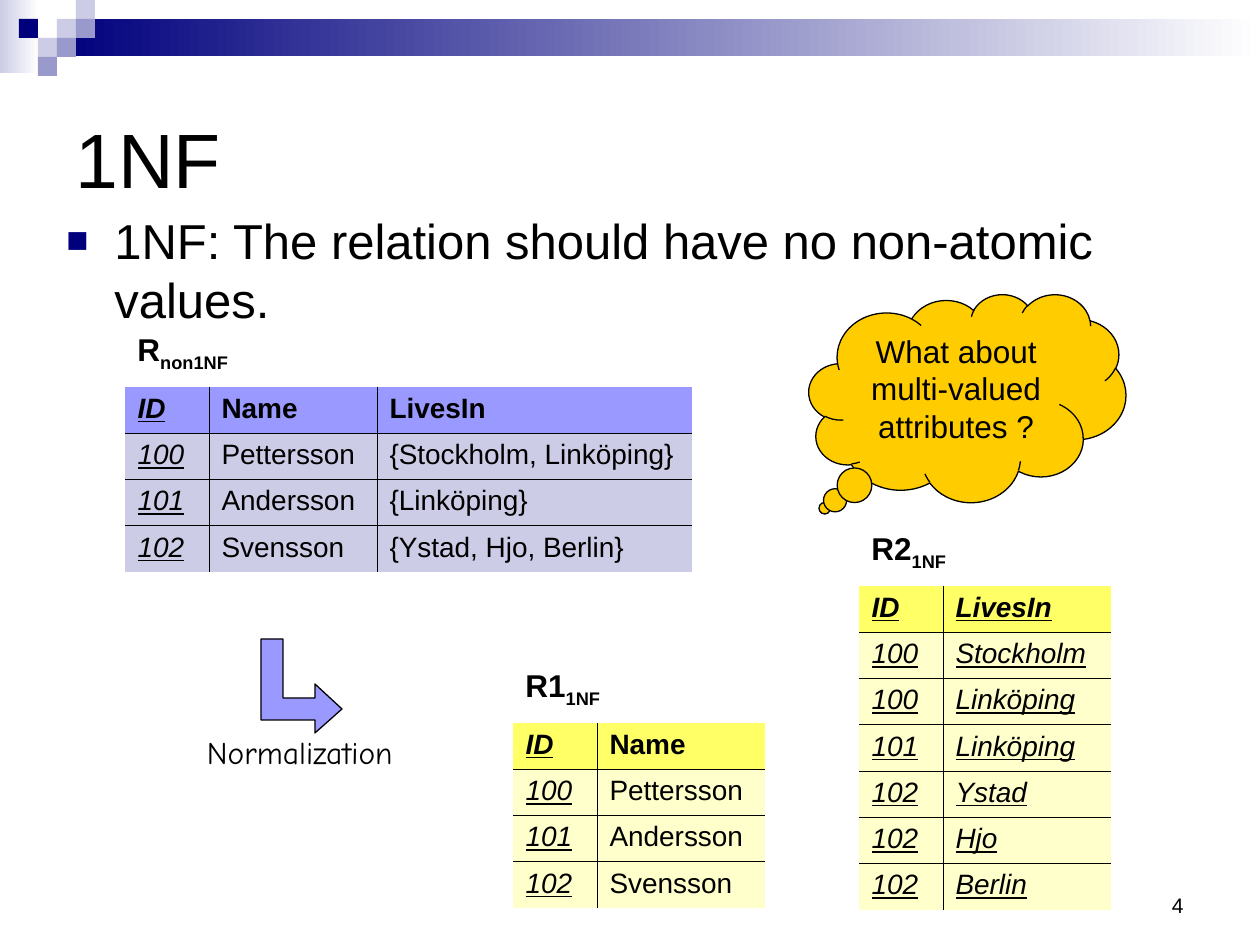
from lxml.etree import SubElement
from pptx import Presentation
from pptx.dml.color import RGBColor
from pptx.enum.shapes import MSO_SHAPE as Shape
from pptx.enum.text import MSO_ANCHOR as Anchor, MSO_AUTO_SIZE as AutoSize, PP_ALIGN as Align
from pptx.oxml.ns import qn
from pptx.util import Pt

SCALE = 914400 / 126  # EMU per px
INSETS = (0.1 * 126, 0.05 * 126)  # left/right, top/bottom in px

COLORS = {
    "black": "000000", "white": "FFFFFF", "navy": "00007D", "lavender": "CCCCE6",
    "slate": "9999CC", "violet": "9999FF", "yellow": "FFFF66", "cream": "FFFFCC",
    "orange": "FFCC00",
}

# Content: header bands and squares (on a grid of 19 px)
GRADIENT_BANDS = [((0, 0, 39, 73), "lavender"), ((57, 19, 1203, 37), "navy")]
SQUARE = 19
SQUARES = [  # column, row, colour
    (3, 1, "lavender"), (4, 0, "lavender"), (4, 1, "slate"), (2, 2, "lavender"),
    (1, 1, "navy"), (3, 2, "slate"), (2, 3, "slate"),
]

# Content: relations, with the number of leading key columns
RELATIONS = [
    {"name": "R", "subscript": "non1NF", "at": (125, 387), "columns": (84, 168, 315),
     "keys": 1, "fills": ("violet", "lavender"),
     "rows": [("ID", "Name", "LivesIn"),
              ("100", "Pettersson", "{Stockholm, Linköping}"),
              ("101", "Andersson", "{Linköping}"),
              ("102", "Svensson", "{Ystad, Hjo, Berlin}")]},
    {"name": "R1", "subscript": "1NF", "at": (513, 723), "columns": (84, 168),
     "keys": 1, "fills": ("yellow", "cream"),
     "rows": [("ID", "Name"), ("100", "Pettersson"),
              ("101", "Andersson"), ("102", "Svensson")]},
    {"name": "R2", "subscript": "1NF", "at": (859, 586), "columns": (84, 168),
     "keys": 2, "fills": ("yellow", "cream"),
     "rows": [("ID", "LivesIn"), ("100", "Stockholm"), ("100", "Linköping"),
              ("101", "Linköping"), ("102", "Ystad"), ("102", "Hjo"), ("102", "Berlin")]},
]
ROW_HEIGHT = 46.25
LABEL_RISE = 63  # from the label's top to its table

ARROW = [(342, 709), (315, 684), (315, 698), (283, 698), (283, 639),
         (261, 639), (261, 720), (315, 720), (315, 733)]


def px(value):
    return round(value * SCALE)


def box(left, top, width, height):
    return px(left), px(top), px(width), px(height)


def rgb(name):
    return RGBColor.from_string(COLORS[name])


def write(frame, text, size=18, font="Arial", bold=False, italic=False, underline=False,
          align=Align.LEFT, space_before=0, subscript=""):
    paragraph = frame.paragraphs[0]
    paragraph.alignment = align
    paragraph.space_before = Pt(space_before)
    for part in filter(None, (text, subscript)):
        run = paragraph.add_run()
        run.text = part
        run.font.size, run.font.name = Pt(size), font
        run.font.bold, run.font.italic, run.font.underline = bold, italic, underline
        run.font.color.rgb = rgb("black")
    if subscript:
        run._r.get_or_add_rPr().set("baseline", "-25000")
    return paragraph


def set_frame(frame, anchor=Anchor.TOP, wrap=True, insets=INSETS):
    frame.word_wrap = wrap
    frame.auto_size = AutoSize.NONE
    frame.vertical_anchor = anchor
    frame.margin_left = frame.margin_right = px(insets[0])
    frame.margin_top = frame.margin_bottom = px(insets[1])
    return frame


def add_text(slide, place, text, anchor=Anchor.TOP, wrap=True, insets=INSETS, **style):
    shape = slide.shapes.add_textbox(*box(*place))
    return write(set_frame(shape.text_frame, anchor, wrap, insets), text, **style)


def paint(shape, fill, outlined=False):
    shape.shadow.inherit = False
    shape.fill.solid()
    shape.fill.fore_color.rgb = rgb(fill)
    if outlined:
        shape.line.color.rgb = rgb("black")
        shape.line.width = Pt(0.75)
    else:
        shape.line.fill.background()


def add_bullet(paragraph):
    properties = paragraph._p.get_or_add_pPr()
    properties.set("marL", str(px(48)))
    properties.set("indent", str(px(-48)))
    color = SubElement(properties, qn("a:buClr"))
    SubElement(color, qn("a:srgbClr"), val=COLORS["navy"])
    SubElement(properties, qn("a:buSzPct"), val="75000")
    SubElement(properties, qn("a:buFont"), typeface="Arial")
    SubElement(properties, qn("a:buChar"), char="■")


def set_borders(cell, sides):
    """Draw a thin line on each side marked True and none on the others."""
    properties = cell._tc.get_or_add_tcPr()
    for index, (tag, visible) in enumerate(sides.items()):
        line = SubElement(properties, qn(f"a:{tag}"), w=str(Pt(0.45)))
        if visible:
            fill = SubElement(line, qn("a:solidFill"))
            SubElement(fill, qn("a:srgbClr"), val=COLORS["black"])
        else:
            SubElement(line, qn("a:noFill"))
        properties.insert(index, line)


def add_relation(slide, relation):
    rows, columns = relation["rows"], relation["columns"]
    left, top = relation["at"]
    place = box(left, top, sum(columns), ROW_HEIGHT * len(rows))
    table = slide.shapes.add_table(len(rows), len(columns), *place).table
    for column, width in zip(table.columns, columns):
        column.width = px(width)
    for r, values in enumerate(rows):
        table.rows[r].height = px(ROW_HEIGHT)
        for c, value in enumerate(values):
            cell, key = table.cell(r, c), c < relation["keys"]
            cell.fill.solid()
            cell.fill.fore_color.rgb = rgb(relation["fills"][min(r, 1)])
            write(cell.text_frame, value, size=16, bold=r == 0, italic=key,
                  underline=key, space_before=4)
            set_borders(cell, {"lnL": c > 0, "lnR": c < len(columns) - 1,
                               "lnT": r > 0, "lnB": r < len(rows) - 1})
    add_text(slide, (left, top - LABEL_RISE, 157, 55), relation["name"],
             subscript=relation["subscript"], bold=True)


def main():
    presentation = Presentation()
    presentation.slide_width, presentation.slide_height = px(1260), px(945)
    slide = presentation.slides.add_slide(presentation.slide_layouts[5])
    shapes = slide.shapes

    # Header decoration
    for place, color in GRADIENT_BANDS:
        band = shapes.add_shape(Shape.RECTANGLE, *box(*place))
        paint(band, color)
        band.fill.gradient()
        band.fill.gradient_angle = 0
        for stop, name in zip(band.fill.gradient_stops, (color, "white")):
            stop.color.rgb = rgb(name)
    for column, row, color in SQUARES:
        place = box(column * SQUARE, row * SQUARE, SQUARE, SQUARE)
        paint(shapes.add_shape(Shape.RECTANGLE, *place), color)

    # Title, statement and slide number
    title = shapes.title
    title.left, title.top, title.width, title.height = box(63, 63, 1134, 189)
    write(set_frame(title.text_frame, Anchor.MIDDLE), "1NF", size=44)
    add_bullet(add_text(slide, (54, 204, 1134, 258),
                        "1NF: The relation should have no non-atomic values.",
                        size=28, space_before=7))
    add_text(slide, (431, 861, 765, 63), "4", anchor=Anchor.BOTTOM, size=12, align=Align.RIGHT)

    # Relations
    for relation in RELATIONS:
        add_relation(slide, relation)

    # Normalization arrow
    builder = shapes.build_freeform(*ARROW[0], scale=SCALE)
    builder.add_line_segments(ARROW[1:], close=True)
    paint(builder.convert_to_shape(), "violet", outlined=True)
    add_text(slide, (207, 733, 186, 38), "Normalization", font="Comic Neue",
             wrap=False, insets=(0, 0))

    # Question cloud
    cloud = shapes.add_shape(Shape.CLOUD_CALLOUT, *box(809, 294, 317, 208))
    cloud.adjustments[0], cloud.adjustments[1] = -0.45, 0.53
    paint(cloud, "orange", outlined=True)
    write(set_frame(cloud.text_frame), "What about multi-valued attributes ?", align=Align.CENTER)

    presentation.save("out.pptx")


if __name__ == "__main__":
    main()
